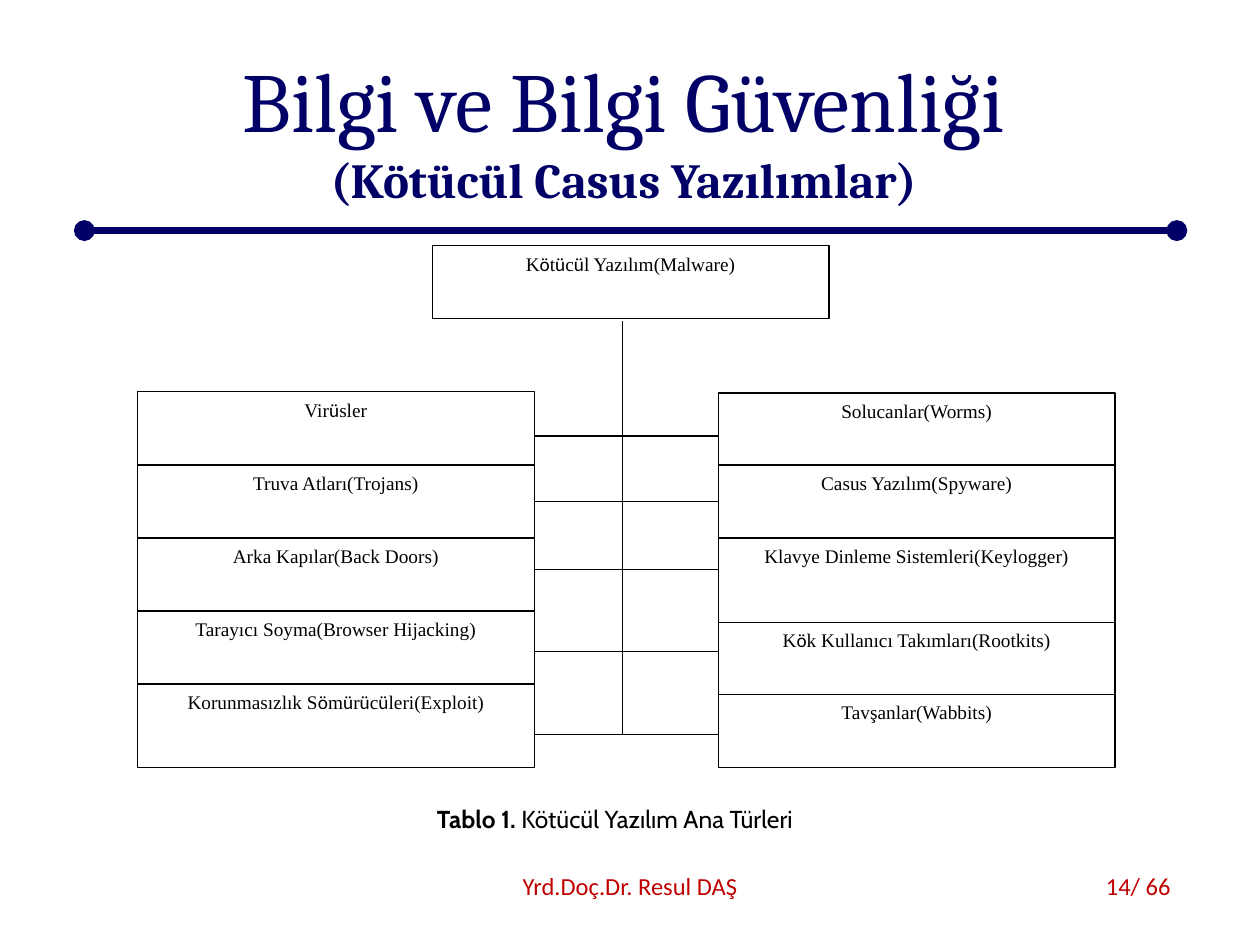
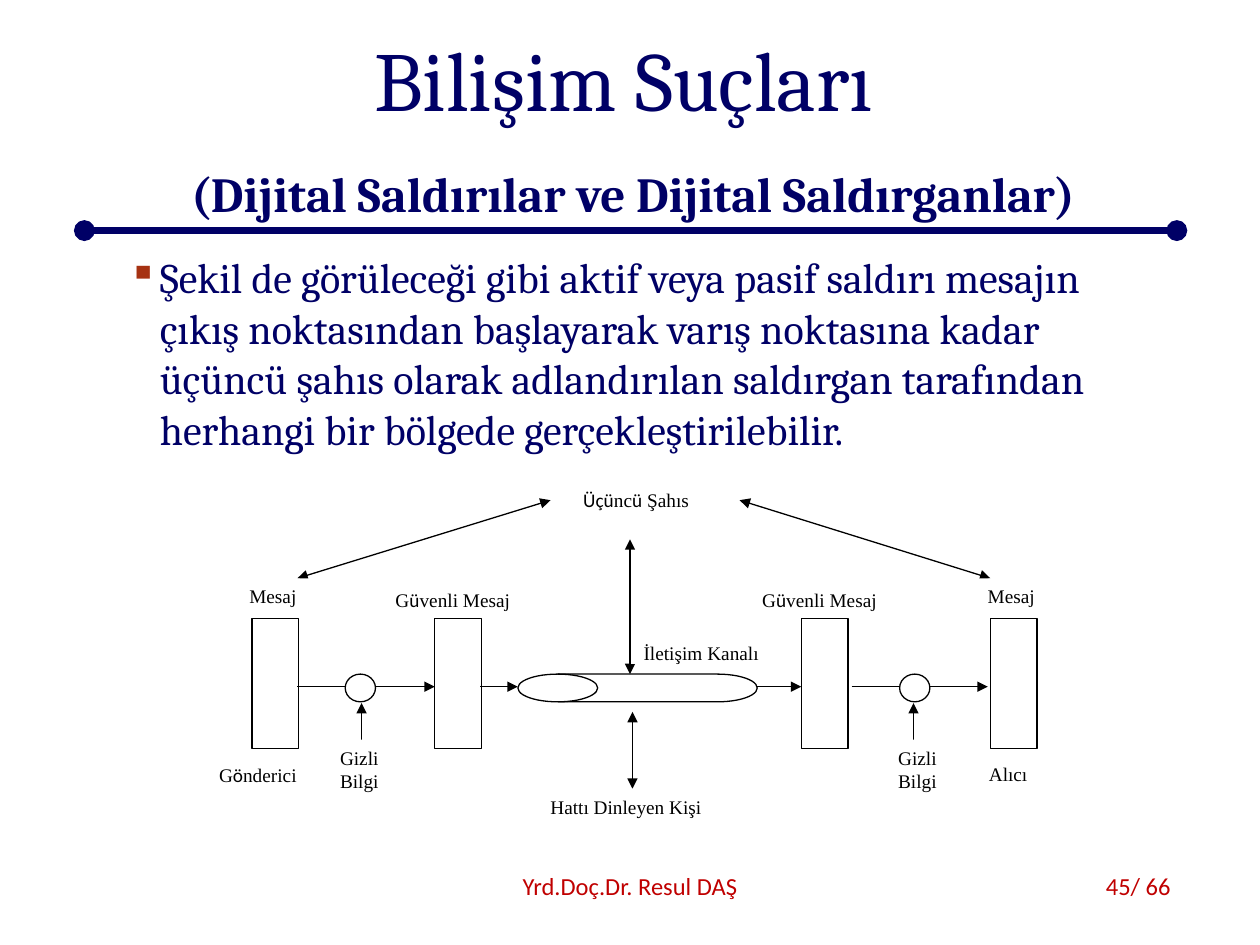
from itertools import groupby

from lxml.etree import SubElement
from pptx import Presentation
from pptx.dml.color import RGBColor
from pptx.enum.shapes import MSO_CONNECTOR, MSO_SHAPE
from pptx.enum.text import MSO_ANCHOR, PP_ALIGN
from pptx.oxml.ns import qn
from pptx.util import Inches, Pt

COLORS = {"navy": "000066", "red": "C00000", "rust": "A63212",
          "black": "000000", "white": "FFFFFF"}
AUTHOR = "Yrd.Doç.Dr. Resul DAŞ"
TOTAL = 66
ACCENTED = "ÖöÜüÇç"  # set in Calibri inside Times New Roman labels

# Malware tree: (text, height) from top to bottom
ROOT = ("Kötücül Yazılım(Malware)", (3.43, 1.95, 3.15, 0.58))
BOX_W = 3.15
COLUMNS = [
    (1.09, 3.11, [("Virüsler", 0.58), ("Truva Atları(Trojans)", 0.58),
                  ("Arka Kapılar(Back Doors)", 0.58),
                  ("Tarayıcı Soyma(Browser Hijacking)", 0.58),
                  ("Korunmasızlık Sömürücüleri(Exploit)", 0.66)]),
    (5.7, 3.12, [("Solucanlar(Worms)", 0.57), ("Casus Yazılım(Spyware)", 0.58),
                 ("Klavye Dinleme Sistemleri(Keylogger)", 0.67),
                 ("Kök Kullanıcı Takımları(Rootkits)", 0.57),
                 ("Tavşanlar(Wabbits)", 0.58)]),
]
TRUNK_X, TRUNK_TOP = 4.94, 2.55
BRANCH_YS = [3.46, 3.98, 4.52, 5.17, 5.83]
CAPTION = ("Tablo 1.", " Kötücül Yazılım Ana Türleri")

# Message channel
BODY = ("Şekil de görüleceği gibi aktif veya pasif saldırı mesajın çıkış "
        "noktasından başlayarak varış noktasına kadar üçüncü şahıs olarak "
        "adlandırılan saldırgan tarafından herhangi bir bölgede "
        "gerçekleştirilebilir.")
FLOW_Y = 5.45
STATION_XS = [2, 3.45, 6.36, 7.86]
KEY_XS = [2.74, 7.14]
FLOWS = [(2.36, 3.45), (6.76, 7.84), (3.81, 4.11), (6.01, 6.36)]
ATTACKS = [(5, 5.35, 5, 4.28), (5.87, 3.97, 7.86, 4.59),
           (5.02, 5.65, 5.02, 6.26), (2.36, 4.59, 4.37, 3.97)]
KEY_ARROW_XS = [2.87, 7.25]
LABELS = [
    ("Alıcı", (7.75, 6, 0.66, 0.24)),
    ("Gizli Bilgi", (7.03, 5.87, 0.68, 0.51)),
    ("Hattı Dinleyen Kişi", (4.27, 6.26, 1.74, 0.24)),
    ("Gönderici", (1.64, 6.01, 0.96, 0.32)),
    ("Gizli Bilgi", (2.6, 5.87, 0.68, 0.51)),
    ("İletişim Kanalı", (5.01, 5.04, 1.34, 0.23)),
    ("Mesaj", (7.74, 4.59, 0.78, 0.24)),
    ("Mesaj", (1.88, 4.59, 0.78, 0.24)),
    ("Güvenli Mesaj", (3.04, 4.62, 1.52, 0.24)),
    ("Güvenli Mesaj", (5.95, 4.62, 1.52, 0.24)),
    ("Üçüncü Şahıs", (4.53, 3.83, 1.29, 0.24)),
]


def rgb(name):
    return RGBColor.from_string(COLORS[name])


def set_font(font, name, size, color):
    font.name, font.size = name, Pt(size)
    font.color.rgb = rgb(color)


def add_run(p, text, size=None, bold=None):
    r = p.add_run()
    r.text = text
    r.font.bold = bold
    if size:
        r.font.size = Pt(size)
    return r


def add_text(slide, at, font, align=PP_ALIGN.LEFT, anchor=MSO_ANCHOR.TOP):
    """Add a wrapping text box and return its first, empty paragraph."""
    tf = slide.shapes.add_textbox(*map(Inches, at)).text_frame
    tf.word_wrap, tf.vertical_anchor = True, anchor
    p = tf.paragraphs[0]
    p.alignment = align
    set_font(p.font, *font)
    return p


def add_line(slide, x1, y1, x2, y2, color="black", width=0.75, head=None, tail=None):
    line = slide.shapes.add_connector(MSO_CONNECTOR.STRAIGHT,
                                      *map(Inches, (x1, y1, x2, y2)))
    line.line.color.rgb = rgb(color)
    line.line.width = Pt(width)
    sp_pr = line._element.spPr
    for tag, kind in (("a:headEnd", head), ("a:tailEnd", tail)):
        if kind:
            SubElement(sp_pr.find(qn("a:ln")), qn(tag), type=kind)
    SubElement(sp_pr, qn("a:effectLst"))


def add_box(slide, at, text="", kind=MSO_SHAPE.RECTANGLE, outlined=True,
            align=PP_ALIGN.LEFT):
    sp = slide.shapes.add_shape(kind, *map(Inches, at))
    sp.shadow.inherit = False
    sp.fill.solid()
    sp.fill.fore_color.rgb = rgb("white")
    if outlined:
        sp.line.color.rgb = rgb("black")
        sp.line.width = Pt(0.75)
    else:
        sp.line.fill.background()
    if text:
        tf = sp.text_frame
        tf.word_wrap, tf.vertical_anchor = True, MSO_ANCHOR.TOP
        p = tf.paragraphs[0]
        p.alignment = align
        set_font(p.font, "Times New Roman", 11, "black")
        for accented, chars in groupby(text, lambda c: c in ACCENTED):
            r = add_run(p, "".join(chars))
            if accented:
                r.font.name = "Calibri"
    return sp


def add_base(prs, title, subtitle, number, lead=""):
    """Start a slide with rule, title and footer; lead is a full-size start of line two."""
    slide = prs.slides.add_slide(prs.slide_layouts[6])
    add_line(slide, 0.67, 1.83, 9.34, 1.83, "navy", 4, "oval", "oval")
    p = add_text(slide, (0.55, 0.23, 8.8, 1.58), ("Cambria", 48, "navy"),
                 PP_ALIGN.CENTER, MSO_ANCHOR.MIDDLE)
    add_run(p, title)
    p.add_line_break()
    if lead:
        add_run(p, lead)
    add_run(p, subtitle, 28, True)
    for text, x, w, align in ((f"{number}/ {TOTAL}", 7.06, 2.33, PP_ALIGN.RIGHT),
                              (AUTHOR, 0, 10, PP_ALIGN.CENTER)):
        p = add_text(slide, (x, 6.72, w, 0.62), ("Calibri", 14, "red"),
                     align, MSO_ANCHOR.MIDDLE)
        add_run(p, text)
    return slide


def add_malware_slide(prs):
    slide = add_base(prs, "Bilgi ve Bilgi Güvenliği", "(Kötücül Casus Yazılımlar)", 14)
    text, at = ROOT
    add_box(slide, at, text, align=PP_ALIGN.CENTER)
    for x, y, boxes in COLUMNS:
        for text, h in boxes:
            add_box(slide, (x, y, BOX_W, h), text, align=PP_ALIGN.CENTER)
            y += h
    add_line(slide, TRUNK_X, TRUNK_TOP, TRUNK_X, BRANCH_YS[-1])
    for y in BRANCH_YS:
        add_line(slide, COLUMNS[0][0] + BOX_W, y, COLUMNS[1][0], y)
    p = add_text(slide, (2.34, 6.33, 5.08, 0.57), ("Cabin", 14, "black"),
                 PP_ALIGN.CENTER)
    add_run(p, CAPTION[0], bold=True)
    add_run(p, CAPTION[1])


def add_channel_slide(prs):
    slide = add_base(prs, "Bilişim Suçları",
                     "(Dijital Saldırılar ve Dijital Saldırganlar)", 45, lead=" ")
    tf = slide.shapes.add_textbox(*map(Inches, (0.92, 1.95, 8.17, 1.8))).text_frame
    tf.word_wrap = True
    p = tf.paragraphs[0]
    p_pr = p._p.get_or_add_pPr()
    p_pr.set("marL", str(Inches(0.25)))
    p_pr.set("indent", str(-Inches(0.25)))
    SubElement(SubElement(p_pr, qn("a:buClr")), qn("a:srgbClr"), val=COLORS["rust"])
    SubElement(p_pr, qn("a:buSzPct"), val="95000")
    SubElement(p_pr, qn("a:buChar"), char="▪")
    set_font(p.font, "Cambria", 24, "navy")
    add_run(p, BODY)

    for x in STATION_XS:
        add_box(slide, (x, 4.91, 0.37, 1.03))
    drum = add_box(slide, (4.11, 5.35, 1.9, 0.22),
                   kind=MSO_SHAPE.FLOWCHART_DIRECT_ACCESS_STORAGE)
    drum.rotation = 180
    for x1, x2 in FLOWS:
        add_line(slide, x1, FLOW_Y, x2, FLOW_Y, tail="triangle")
    for x in KEY_XS:
        add_box(slide, (x, 5.35, 0.24, 0.22), kind=MSO_SHAPE.FLOWCHART_CONNECTOR)
    for ends in ATTACKS:
        add_line(slide, *ends, head="triangle", tail="triangle")
    for x in KEY_ARROW_XS:
        add_line(slide, x, 5.87, x, 5.58, tail="triangle")
    for text, at in LABELS:
        add_box(slide, at, text, outlined=False)


def main():
    prs = Presentation()
    prs.slide_width, prs.slide_height = Inches(10), Inches(7.5)
    add_malware_slide(prs)
    add_channel_slide(prs)
    prs.save("out.pptx")


if __name__ == "__main__":
    main()
